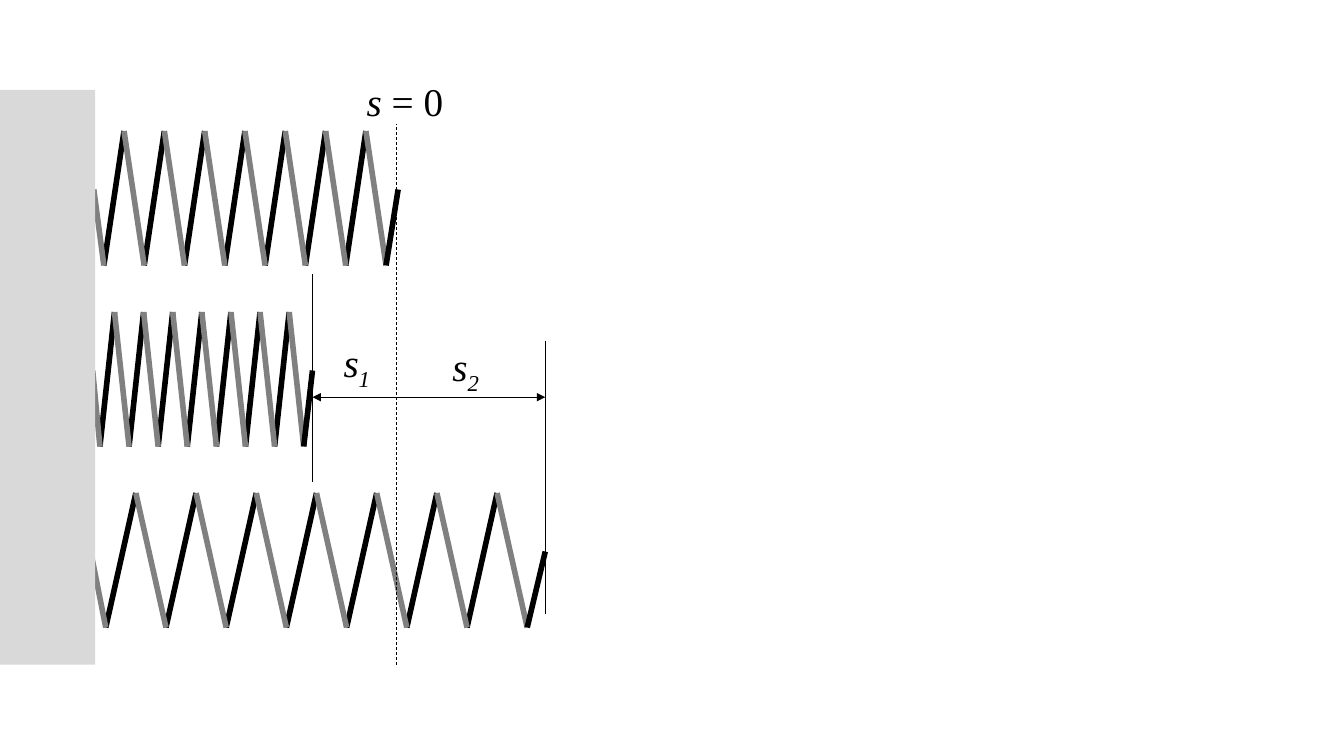
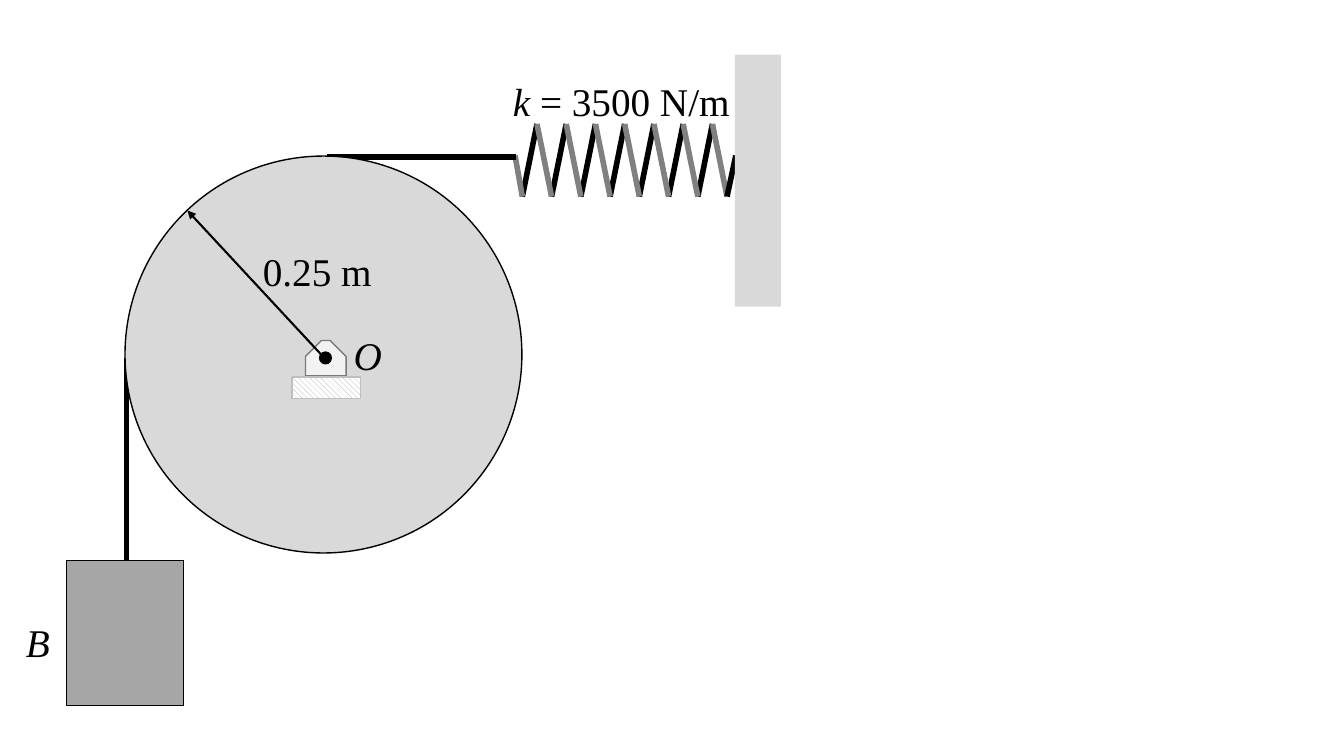
from dataclasses import dataclass

from lxml import etree
from pptx import Presentation
from pptx.dml.color import RGBColor
from pptx.enum.dml import MSO_LINE, MSO_PATTERN
from pptx.enum.shapes import MSO_CONNECTOR, MSO_SHAPE
from pptx.enum.text import MSO_ANCHOR, PP_ALIGN
from pptx.oxml.ns import qn
from pptx.util import Pt

RECTANGLE = MSO_SHAPE.RECTANGLE
ELLIPSE = MSO_SHAPE.OVAL
BRACKET = MSO_SHAPE.SNIP_2_SAME_RECTANGLE
STRAIGHT = MSO_CONNECTOR.STRAIGHT
DASH = MSO_LINE.DASH
HATCH = MSO_PATTERN.WIDE_DOWNWARD_DIAGONAL
BLANK_LAYOUT = 6


@dataclass(frozen=True)
class Theme:
    font: str = "Times New Roman"
    text_size: float = 28
    ink: str = "000000"
    paper: str = "FFFFFF"
    coil_back: str = "808080"
    solid: str = "D9D9D9"
    block: str = "A6A6A6"
    bracket: str = "F2F2F2"
    bracket_edge: str = "7A7A7A"
    hatch: str = "A5A5A5"
    hatch_edge: str = "BFBFBF"
    hairline: float = 0.5
    outline: float = 1
    arrow: float = 1.5
    heavy: float = 4


def color(value):
    return RGBColor.from_string(value)


class Diagram:
    """Holds the style and the slide being drawn; lengths are in points."""

    COILS = 7
    LEFT_END, RIGHT_END = 0.25, 0.3  # loose ends, as shares of the pitch
    END_HEIGHT = 0.565  # height of the loose ends above the valleys

    def __init__(self, theme):
        self.theme = theme
        self.presentation = Presentation()
        self.presentation.slide_width = Pt(960)
        self.presentation.slide_height = Pt(540)
        self.slide = None

    def new_slide(self):
        layout = self.presentation.slide_layouts[BLANK_LAYOUT]
        self.slide = self.presentation.slides.add_slide(layout)

    def group(self):
        return self.slide.shapes.add_group_shape().shapes

    def line(self, start, end, width, ink=None, dash=None, arrow=False, parent=None):
        shapes = self.slide.shapes if parent is None else parent
        connector = shapes.add_connector(STRAIGHT, *map(Pt, (*start, *end)))
        connector.line.color.rgb = color(ink or self.theme.ink)
        connector.line.width = Pt(width)
        if dash is not None:
            connector.line.dash_style = dash
        properties = connector._element.spPr
        if arrow:
            outline = properties.find(qn("a:ln"))
            etree.SubElement(outline, qn("a:tailEnd"), type="triangle")
        etree.SubElement(properties, qn("a:effectLst"))

    def shape(self, kind, box, fill, edge=None, hatch=None, parent=None):
        shapes = self.slide.shapes if parent is None else parent
        shape = shapes.add_shape(kind, *map(Pt, box))
        shape.shadow.inherit = False
        if hatch:
            shape.fill.patterned()
            shape.fill.pattern = HATCH
            shape.fill.fore_color.rgb = color(hatch)
            shape.fill.back_color.rgb = color(fill)
        else:
            shape.fill.solid()
            shape.fill.fore_color.rgb = color(fill)
        if edge:
            shape.line.color.rgb = color(edge)
            shape.line.width = Pt(self.theme.outline)
        else:
            shape.line.fill.background()
        return shape

    def label(self, left, top, width, italic="", upright="", subscript=""):
        box = self.slide.shapes.add_textbox(Pt(left), Pt(top), Pt(width), Pt(34.6))
        frame = box.text_frame
        frame_format = {
            "word_wrap": True,
            "vertical_anchor": MSO_ANCHOR.TOP,
            "margin_top": Pt(6.5),
            "margin_bottom": Pt(0),
        }
        for name, value in frame_format.items():
            setattr(frame, name, value)
        paragraph = frame.paragraphs[0]
        paragraph.alignment = PP_ALIGN.LEFT
        for text, slanted, lowered in (
            (italic, True, False),
            (upright, False, False),
            (subscript, True, True),
        ):
            if not text:
                continue
            run = paragraph.add_run()
            run.text = text
            run_format = {
                "name": self.theme.font,
                "size": Pt(self.theme.text_size),
                "italic": slanted,
            }
            for name, value in run_format.items():
                setattr(run.font, name, value)
            run.font.color.rgb = color(self.theme.ink)
            if lowered:
                run._r.get_or_add_rPr().set("baseline", "-25000")

    def spring(self, left, right, top, height):
        pitch = (right - left) / (self.COILS + self.LEFT_END + self.RIGHT_END)
        bottom = top + height
        end = bottom - self.END_HEIGHT * height
        first = left + self.LEFT_END * pitch
        valleys = [(first + i * pitch, bottom) for i in range(self.COILS + 1)]
        peaks = [(x + pitch / 2, top) for x, _ in valleys[:-1]]
        front, back = self.theme.ink, self.theme.coil_back
        strokes = [(*pair, front) for pair in zip(valleys, peaks)]
        strokes += [(*pair, back) for pair in zip(valleys[1:], peaks)]
        strokes.append((valleys[-1], (right, end), front))
        strokes.append((valleys[0], (left, end), back))
        coils = self.group()
        for start, stop, ink in strokes:
            self.line(start, stop, self.theme.heavy, ink, parent=coils)


def draw_spring_positions(diagram):
    theme = diagram.theme
    diagram.new_slide()

    # Springs: relaxed, compressed, stretched
    compressed, stretched, relaxed = 223.2, 389.5, 283.3
    ends = ((67, 284.4), (66.2, compressed), (64.8, stretched))
    for row, (left, right) in enumerate(ends):
        diagram.spring(left, right, 93.6 + 129.3 * row, 96)

    # Reference line and limits of travel
    diagram.line((relaxed, 475), (relaxed, 88.6), theme.hairline, dash=DASH)
    diagram.label(254.9, 49, 86.4, "s ", "= 0")
    diagram.line((compressed, 344), (compressed, 196), theme.hairline)
    diagram.line((stretched, 438.5), (stretched, 243.4), theme.hairline)

    # Displacements
    for limit in (stretched, compressed):
        diagram.line((relaxed, 283.7), (limit, 283.7), theme.hairline, arrow=True)
    diagram.label(238.3, 235.4, 36, "s", subscript="1")
    diagram.label(316.1, 237.9, 36, "s", subscript="2")

    # Wall
    diagram.shape(RECTANGLE, (0, 64.2, 68, 410.6), theme.solid)


def draw_pulley(diagram):
    theme = diagram.theme
    diagram.new_slide()

    # Spring and wall
    diagram.spring(367.9, 525.6, 88.6, 51.8)
    diagram.shape(RECTANGLE, (524.9, 39, 33, 180), theme.solid)

    # Ropes, block and disk
    diagram.line((368.8, 112.3), (233.3, 112.3), theme.heavy)
    diagram.line((90.5, 410.4), (90.5, 255.6), theme.heavy)
    diagram.shape(RECTANGLE, (47.3, 400.2, 84, 103.7), theme.block, theme.ink)
    diagram.shape(ELLIPSE, (89.3, 111.5, 283.5, 283.5), theme.solid, theme.ink)

    # Support
    support = diagram.group()
    bracket = diagram.shape(BRACKET, (218.2, 243.2, 29, 25.2), theme.bracket,
                            theme.bracket_edge, parent=support)
    bracket.adjustments[0] = 0.45
    diagram.shape(RECTANGLE, (208.6, 269.3, 49, 15.4), theme.paper,
                  theme.hatch_edge, theme.hatch, parent=support)
    diagram.shape(ELLIPSE, (228.3, 251.5, 8.4, 8.4), theme.ink, theme.ink,
                  parent=support)

    # Labels and radius
    diagram.label(245.5, 230.4, 36, "O")
    diagram.label(11.5, 434.9, 36, "B")
    diagram.label(359.3, 49, 172.8, "k", " = 3500 N/m")
    diagram.line((231.2, 255.2), (133.9, 150.4), theme.arrow, arrow=True)
    diagram.label(180.7, 169.9, 100.8, upright="0.25 m")


def main():
    diagram = Diagram(Theme())
    draw_spring_positions(diagram)
    draw_pulley(diagram)
    diagram.presentation.save("out.pptx")


if __name__ == "__main__":
    main()
